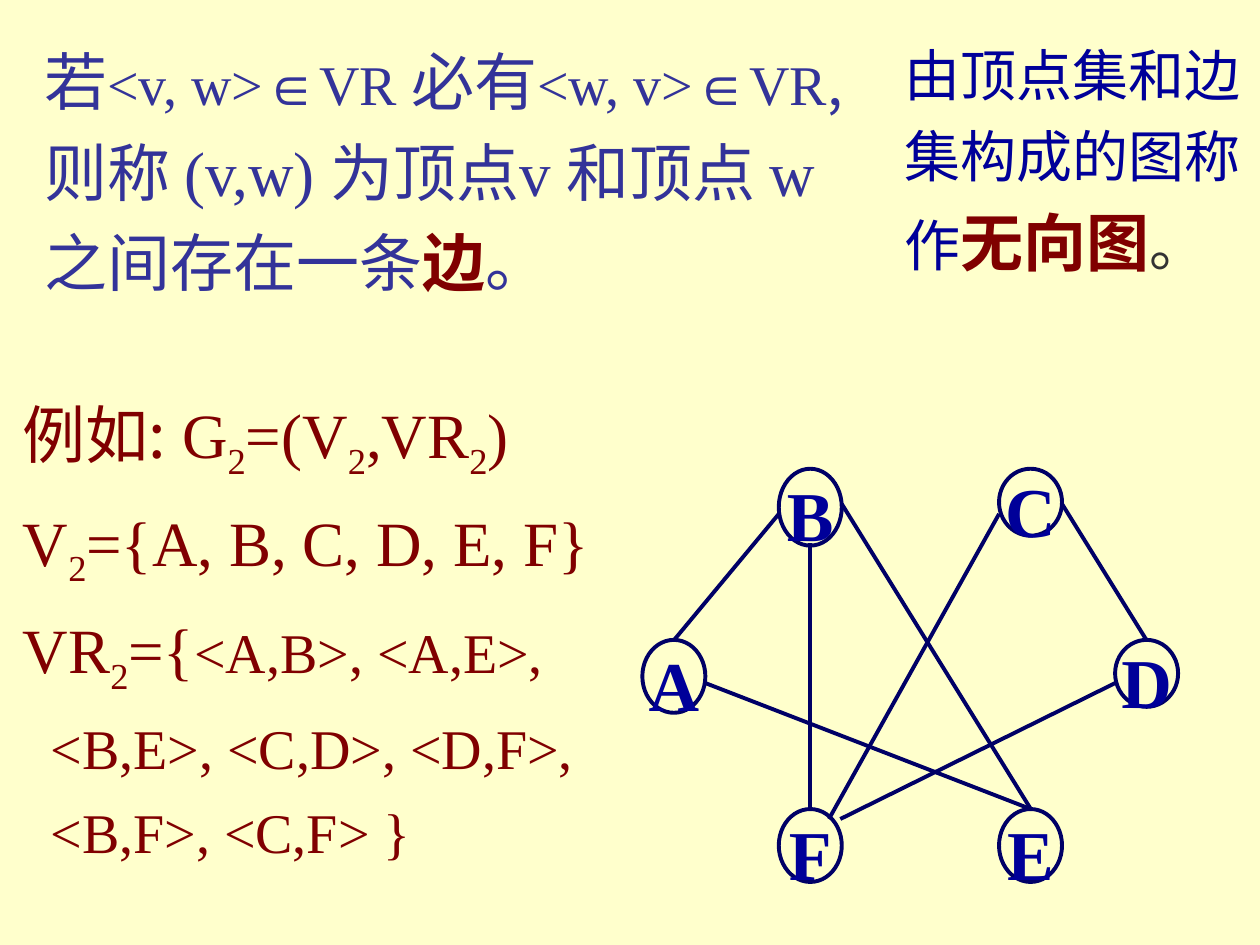
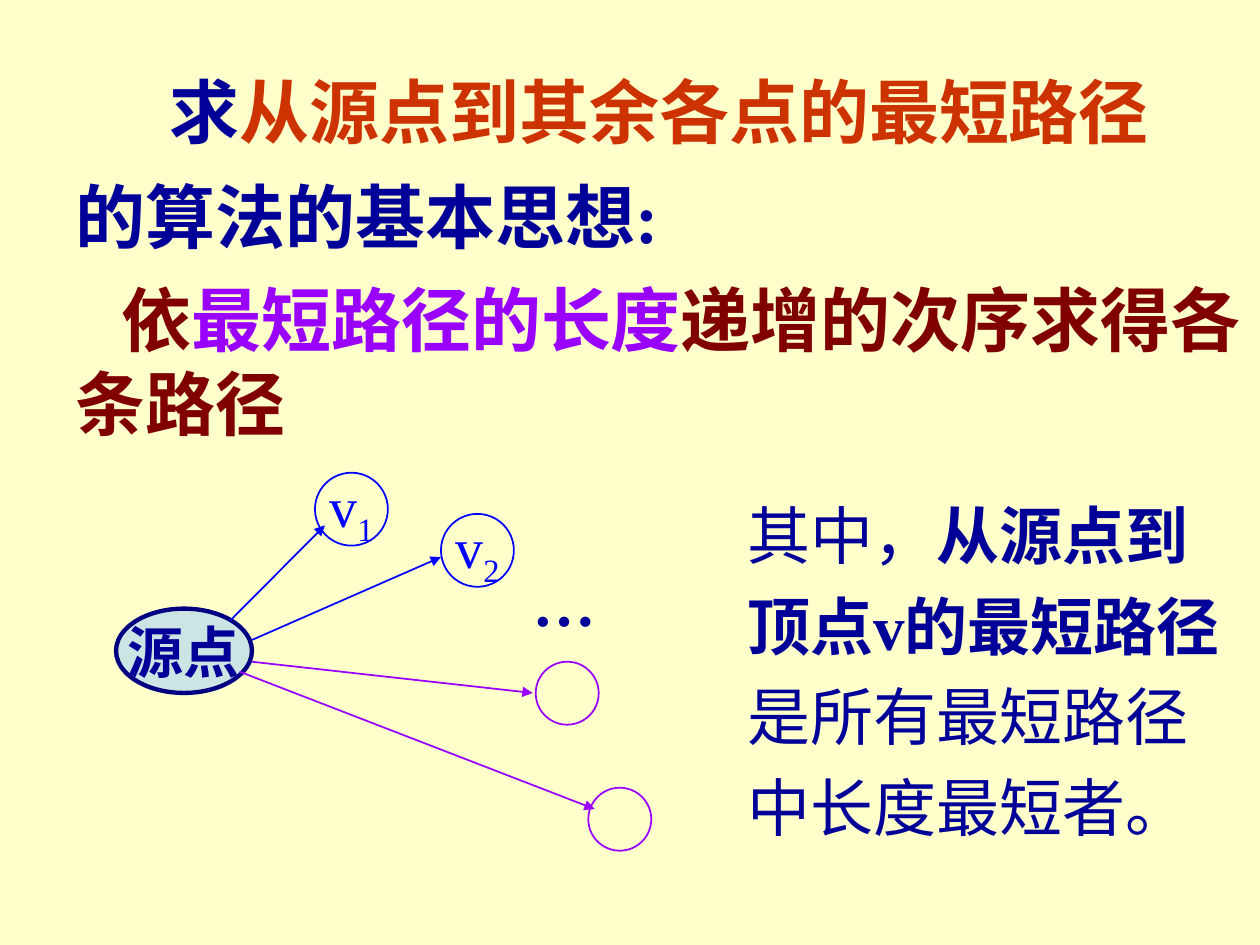
from dataclasses import dataclass, replace

from lxml import etree
from pptx import Presentation
from pptx.dml.color import RGBColor
from pptx.enum.shapes import MSO_CONNECTOR as Connector, MSO_SHAPE as Shape
from pptx.enum.text import MSO_ANCHOR as Anchor, MSO_AUTO_SIZE as AutoSize, PP_ALIGN as Align
from pptx.oxml.ns import qn
from pptx.util import Cm, Pt

CREAM = RGBColor(0xFF, 0xFF, 0xCC)
INDIGO = RGBColor(0x33, 0x33, 0x99)
NAVY = RGBColor(0x00, 0x00, 0x99)
EDGE_NAVY = RGBColor(0x00, 0x00, 0x66)
RIM_NAVY = RGBColor(0x00, 0x00, 0x80)
BLUE = RGBColor(0x00, 0x00, 0xFF)
SKY = RGBColor(0x99, 0xCC, 0xFF)
MAROON = RGBColor(0x80, 0x00, 0x00)
RUST = RGBColor(0xCC, 0x33, 0x00)
VIOLET = RGBColor(0x99, 0x00, 0xFF)
GREY = RGBColor(0x33, 0x33, 0x33)

SERIF, HAN, SANS = "Times New Roman", "Noto Sans CJK SC", "Arial"
TITLE_ONLY, BLANK = 5, 6


@dataclass(frozen=True)
class Look:
    size: int
    color: RGBColor
    font: str = SERIF
    bold: bool = False


class Pages:
    def __init__(self):
        self.deck = Presentation()
        self.deck.slide_width, self.deck.slide_height = Cm(25.4), Cm(19.05)
        fill = self.deck.slide_master.background.fill
        fill.solid()
        fill.fore_color.rgb = CREAM
        self.page = None

    def new_page(self, layout):
        self.page = self.deck.slides.add_slide(self.deck.slide_layouts[layout])

    def span(self, para, text, look, low=False):
        span = para.add_run()
        span.text = text
        font = span.font
        font.size, font.bold = Pt(look.size), look.bold
        font.color.rgb = look.color
        font.name = look.font
        properties = span._r.get_or_add_rPr()
        etree.SubElement(properties, qn("a:ea")).set("typeface", HAN)
        if low:
            properties.set("baseline", "-25000")

    def add_spans(self, para, spans):
        """Add (text, look) spans; the character after each "_" is a subscript."""
        for text, look in spans:
            plain, *marked = text.split("_")
            if plain:
                self.span(para, plain, look)
            for part in marked:
                self.span(para, part[0], look, low=True)
                if part[1:]:
                    self.span(para, part[1:], look)

    def fill_frame(self, frame, paras, spacing, indents):
        for index, spans in enumerate(paras):
            para = frame.paragraphs[0] if index == 0 else frame.add_paragraph()
            para.alignment = Align.LEFT
            para.line_spacing = spacing
            if index in indents:
                para._p.get_or_add_pPr().set("indent", str(Cm(indents[index])))
            self.add_spans(para, spans)

    def text(self, left, top, width, height, paras, spacing=1.0, indents={}, wrap=True):
        box = self.page.shapes.add_textbox(Cm(left), Cm(top), Cm(width), Cm(height))
        frame = box.text_frame
        frame.word_wrap = wrap
        frame.auto_size = AutoSize.SHAPE_TO_FIT_TEXT
        self.fill_frame(frame, paras, spacing, indents)

    def title(self, left, top, width, height, spans, spacing, indent):
        box = self.page.shapes.title
        box.left, box.top, box.width, box.height = Cm(left), Cm(top), Cm(width), Cm(height)
        frame = box.text_frame
        frame.vertical_anchor = Anchor.TOP
        frame.auto_size = AutoSize.NONE
        self.fill_frame(frame, [spans], spacing, {0: indent})

    def node(self, left, top, width, height, color, weight, spans=(), drop=0.13):
        """Draw an oval; drop is the inset above its label."""
        oval = self.page.shapes.add_shape(
            Shape.OVAL, Cm(left), Cm(top), Cm(width), Cm(height))
        oval.shadow.inherit = False
        oval.fill.background()
        oval.line.color.rgb = color
        oval.line.width = Pt(weight)
        if spans:
            frame = oval.text_frame
            frame.word_wrap = False
            frame.vertical_anchor = Anchor.MIDDLE
            frame.margin_top = Cm(drop)
            frame.paragraphs[0].alignment = Align.CENTER
            self.add_spans(frame.paragraphs[0], spans)
        return oval

    def tint(self, shape, color, opacity):
        shape.fill.solid()
        shape.fill.fore_color.rgb = color
        swatch = shape._element.spPr.find(qn("a:solidFill"))[0]
        etree.SubElement(swatch, qn("a:alpha")).set("val", str(opacity * 1000))

    def edge(self, start, end, color, weight, arrow=False):
        points = [Cm(value) for value in (*start, *end)]
        edge = self.page.shapes.add_connector(Connector.STRAIGHT, *points)
        edge.line.color.rgb = color
        edge.line.width = Pt(weight)
        properties = edge._element.spPr
        if arrow:
            line = properties.find(qn("a:ln"))
            etree.SubElement(line, qn("a:tailEnd")).set("type", "triangle")
        etree.SubElement(properties, qn("a:effectLst"))


def undirected_graph(pages):
    pages.new_page(BLANK)
    han = Look(36, INDIGO, HAN)
    latin = Look(32, INDIGO)
    member = replace(latin, font=SANS)
    big_latin = replace(latin, size=36)
    key = Look(36, MAROON, HAN, True)
    pages.text(0.64, 0.43, 16.71, 7.37, [
        [("若", han), ("<v, w>", latin), ("∈", member), ("VR", latin), (" 必有", han),
         ("<w, v>", latin), ("∈", member), ("VR", latin), (",", replace(han, size=32))],
        [("则称 ", han), ("(v,w) ", big_latin), ("为顶点", han), ("v ", big_latin),
         ("和顶点 ", han), ("w ", big_latin), ("之间存在一条", han), ("边", key), ("。", han)],
    ], spacing=1.2)

    letter = Look(40, NAVY, bold=True)
    for name, left, top, height in [
        ("B", 15.7, 9.45, 1.55), ("C", 20.14, 9.45, 1.35),
        ("A", 12.95, 12.9, 1.47), ("D", 22.48, 12.9, 1.35),
        ("F", 15.7, 16.31, 1.47), ("E", 20.14, 16.31, 1.47),
    ]:
        pages.node(left, top, 1.27, height, EDGE_NAVY, 2.25, [(name, letter)], drop=0.4)
    for start, end in [
        ((15.7, 10.36), (13.59, 12.9)),
        ((16.97, 10.16), (20.78, 16.31)),
        ((14.22, 13.77), (20.78, 16.31)),
        ((20.14, 10.36), (16.71, 16.51)),
        ((21.41, 10.16), (23.11, 12.9)),
        ((22.48, 13.77), (16.94, 16.51)),
        ((16.33, 10.95), (16.33, 16.31)),
    ]:
        pages.edge(start, end, EDGE_NAVY, 2.25)

    pages.text(17.98, 0.43, 7.42, 5.33, [
        [("由顶点集和边集构成的图称作", Look(32, NAVY, HAN)), ("无向图", key),
         ("。", Look(32, GREY, HAN))],
    ], spacing=1.2)

    large, small = Look(36, MAROON), Look(32, MAROON)
    pages.text(0.21, 7.42, 13.13, 10.16, [
        [("例如:", replace(large, font=HAN)), (" G_2=(V_2,VR_2)", large)],
        [("V_2={A, B, C, D, E, F}", large)],
        [("VR_2={", large), ("<A,B>, <A,E>,", small)],
        [("<B,E>, <C,D>, <D,F>,", small)],
        [("<B,F>, <C,F> }", small)],
    ], spacing=1.25, indents={3: 0.56, 4: 0.56})


def shortest_paths(pages):
    pages.new_page(TITLE_ONLY)
    strong = Look(40, NAVY, bold=True)
    pages.title(1.27, 0.84, 22.91, 4.5, [
        ("求", strong), ("从源点到其余各点的最短路径", replace(strong, color=RUST)),
        ("的算法的基本思想:", strong),
    ], spacing=1.25, indent=1.9)
    rule = replace(strong, color=MAROON)
    pages.text(1.27, 5.46, 24.13, 3.66, [
        [("依", rule), ("最短路径的长度", replace(rule, color=VIOLET)),
         ("递增的次序求得各条路径", rule)],
    ], indents={0: 0.93})

    source = pages.node(2.34, 12.27, 2.74, 1.7, RIM_NAVY, 2.5,
                        [("源点", replace(strong, size=32))])
    pages.tint(source, SKY, 50)
    for label, left, top in [("v_1", 6.35, 9.53), ("v_2", 8.89, 10.36)]:
        pages.node(left, top, 1.47, 1.47, BLUE, 1, [(label, Look(32, BLUE))])
    for left, top in [(10.8, 13.34), (11.86, 15.88)]:
        pages.node(left, top, 1.27, 1.27, VIOLET, 1)
    pages.text(10.49, 11.23, 1.78, 1.78, [[("…", replace(strong, size=36))]], wrap=False)
    for start, end, color in [
        ((4.65, 12.5), (6.55, 10.59), BLUE),
        ((5.08, 12.9), (8.89, 11.23), BLUE),
        ((5.08, 13.34), (10.74, 13.97), VIOLET),
        ((4.83, 13.54), (11.99, 16.31), VIOLET),
    ]:
        pages.edge(start, end, color, 1, arrow=True)

    note = Look(36, NAVY)
    pages.text(14.81, 9.58, 10.36, 7.57, [
        [("其中，", note), ("从源点到顶点v的最短路径", replace(note, bold=True)),
         ("是所有最短路径中长度最短者。", note)],
    ], spacing=1.2)


def main():
    pages = Pages()
    undirected_graph(pages)
    shortest_paths(pages)
    pages.deck.save("out.pptx")


if __name__ == "__main__":
    main()
